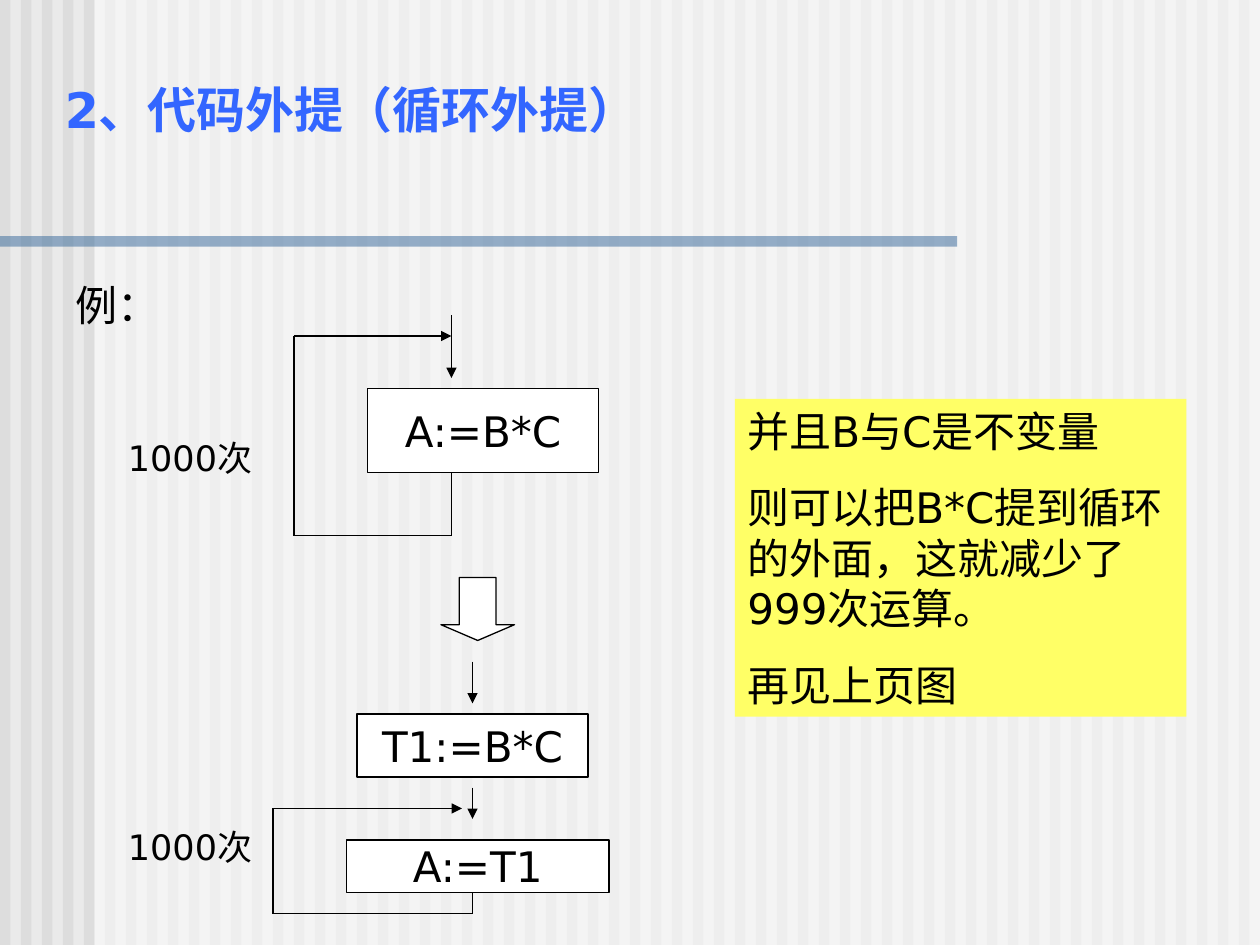
from itertools import pairwise

from lxml import etree
from pptx import Presentation, util as u
from pptx.dml.color import RGBColor
from pptx.enum import shapes, text
from pptx.oxml import ns

COLORS = {
    "background": "EAEAEA",
    "stripe": "DDDDDD",
    "white": "FFFFFF",
    "rule": "336699",
    "title": "3366FF",
    "ink": "000000",
    "note": "FFFF66",
}


class SlideBuilder:
    """Holds the style and the current slide; all lengths are points."""

    font = "DejaVu Sans"
    line_width = 0.75

    def __init__(self, slide):
        self.slide = slide

    def color(self, name):
        return RGBColor.from_string(COLORS[name])

    def background(self, name):
        fill = self.slide.background.fill
        fill.solid()
        fill.fore_color.rgb = self.color(name)

    def shape(self, area, fill, outlined=False, alpha=None,
              kind=shapes.MSO_SHAPE.RECTANGLE):
        box = self.slide.shapes.add_shape(kind, *map(u.Pt, area))
        box.shadow.inherit = False
        box.fill.solid()
        box.fill.fore_color.rgb = self.color(fill)
        if alpha is not None:
            tint = box._element.spPr.find(".//" + ns.qn("a:srgbClr"))
            etree.SubElement(tint, ns.qn("a:alpha"), val=str(alpha * 1000))
        if outlined:
            box.line.color.rgb = self.color("ink")
            box.line.width = u.Pt(self.line_width)
        else:
            box.line.fill.background()
        return box

    def set_text(self, box, lines, size, color="ink", bold=False, gap=0,
                 align=text.PP_ALIGN.LEFT, anchor=text.MSO_ANCHOR.TOP,
                 wrap=True):
        frame = box.text_frame
        frame.text = "\n".join(lines)
        frame.word_wrap = wrap
        frame.vertical_anchor = anchor
        for index, para in enumerate(frame.paragraphs):
            para.alignment = align
            para.space_before = u.Pt(gap if index else 0)
            for span in para.runs:
                span.font.name = self.font
                span.font.size = u.Pt(size)
                span.font.bold = bold
                span.font.color.rgb = self.color(color)

    def label(self, area, words, size, **style):
        box = self.slide.shapes.add_textbox(*map(u.Pt, area))
        self.set_text(box, [words], size, **style)

    def statement(self, area, code):
        box = self.shape(area, "white", outlined=True)
        self.set_text(box, [code], 24, align=text.PP_ALIGN.CENTER,
                      anchor=text.MSO_ANCHOR.MIDDLE, wrap=False)

    def note(self, area, lines):
        self.set_text(self.shape(area, "note"), lines, 24, gap=15)

    def route(self, *points, arrow=True):
        """Join the points with straight lines; the last may end in an arrow."""
        for start, end in pairwise(points):
            line = self.slide.shapes.add_connector(
                shapes.MSO_CONNECTOR.STRAIGHT, *map(u.Pt, start + end))
            line.line.color.rgb = self.color("ink")
            line.line.width = u.Pt(self.line_width)
            properties = line._element.spPr
            etree.SubElement(properties, ns.qn("a:effectLst"))
        if arrow:
            etree.SubElement(properties.find(ns.qn("a:ln")),
                             ns.qn("a:tailEnd"), type="triangle")


def main():
    deck = Presentation()
    deck.slide_width, deck.slide_height = u.Pt(720), u.Pt(540)
    page = SlideBuilder(deck.slides.add_slide(deck.slide_layouts[6]))

    # Striped backdrop, veiled to the right of the margin
    page.background("background")
    for left in range(0, 720, 12):
        page.shape((left, 0, 6, 540), "stripe")
    page.shape((54, 0, 666, 540), "white", alpha=50)
    page.shape((0, 135, 547, 6), "rule", alpha=50)

    # Headings
    page.label((30, 42, 426, 41), "2、代码外提（循环外提）", 28,
               color="title", bold=True)
    page.label((36, 156, 564, 36), "例：", 24)

    # Loop before the change
    page.statement((210, 222, 132, 48), "A:=B*C")
    page.route((258, 180), (258, 216))
    page.route((258, 270), (258, 306), (168, 306), (168, 192), (258, 192))
    page.label((66, 246, 96, 32), "1000次", 20)

    # Explanation
    page.note((420, 228, 258, 181.5), [
        "并且B与C是不变量",
        "则可以把B*C提到循环的外面，这就减少了999次运算。",
        "再见上页图",
    ])

    # Step from one loop to the other
    step = page.shape((252, 330, 42, 36), "white", outlined=True,
                      kind=shapes.MSO_SHAPE.DOWN_ARROW)
    step.adjustments[0], step.adjustments[1] = 0.5, 0.25

    # Loop after the change
    page.statement((204, 408, 132, 36), "T1:=B*C")
    page.route((270, 378), (270, 402))
    page.statement((198, 480, 150, 30), "A:=T1")
    page.route((270, 450), (270, 468))
    page.route((270, 510), (270, 522), (156, 522), (156, 462), (264, 462))
    page.label((66, 468, 96, 32), "1000次", 20)

    deck.save("out.pptx")


if __name__ == "__main__":
    main()
